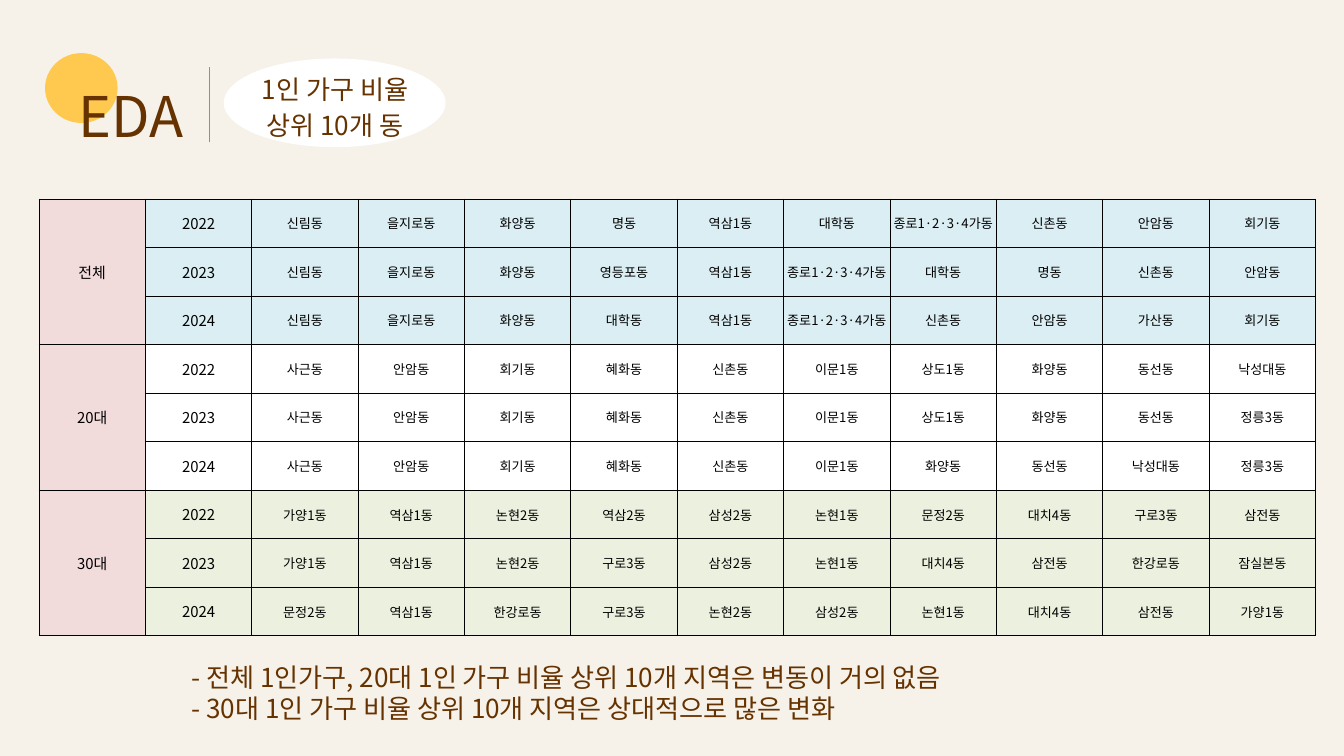
from lxml.etree import SubElement
from pptx import Presentation
from pptx.dml.color import RGBColor
from pptx.enum.shapes import MSO_CONNECTOR, MSO_SHAPE
from pptx.enum.text import MSO_ANCHOR, MSO_AUTO_SIZE, PP_ALIGN
from pptx.oxml.ns import qn
from pptx.util import Inches, Pt

FONT = "Noto Sans CJK KR"
BROWN = "663300"
BLACK = "000000"
YEARS = ["2022", "2023", "2024"]

# Group label, row fill, and the ten top districts for each year
GROUPS = [
    ("전체", "DBEEF4", [
        "신림동 을지로동 화양동 명동 역삼1동 대학동 종로1·2·3·4가동 신촌동 안암동 회기동",
        "신림동 을지로동 화양동 영등포동 역삼1동 종로1·2·3·4가동 대학동 명동 신촌동 안암동",
        "신림동 을지로동 화양동 대학동 역삼1동 종로1·2·3·4가동 신촌동 안암동 가산동 회기동",
    ]),
    ("20대", "FFFFFF", [
        "사근동 안암동 회기동 혜화동 신촌동 이문1동 상도1동 화양동 동선동 낙성대동",
        "사근동 안암동 회기동 혜화동 신촌동 이문1동 상도1동 화양동 동선동 정릉3동",
        "사근동 안암동 회기동 혜화동 신촌동 이문1동 화양동 동선동 낙성대동 정릉3동",
    ]),
    ("30대", "EBF1DE", [
        "가양1동 역삼1동 논현2동 역삼2동 삼성2동 논현1동 문정2동 대치4동 구로3동 삼전동",
        "가양1동 역삼1동 논현2동 구로3동 삼성2동 논현1동 대치4동 삼전동 한강로동 잠실본동",
        "문정2동 역삼1동 한강로동 구로3동 논현2동 삼성2동 논현1동 대치4동 삼전동 가양1동",
    ]),
]


def rgb(hex_color):
    return RGBColor.from_string(hex_color)


def format_text(frame, size, color, align=PP_ALIGN.LEFT, spacing=None):
    for paragraph in frame.paragraphs:
        paragraph.alignment = align
        if spacing:
            paragraph.line_spacing = Pt(spacing)
        for run in paragraph.runs:
            run.font.size = Pt(size)
            run.font.name = FONT
            run.font.color.rgb = rgb(color)
            SubElement(run.font._element, qn("a:ea"), typeface=FONT)


def set_margins(holder, side, top):
    holder.margin_left = holder.margin_right = Inches(side)
    holder.margin_top = holder.margin_bottom = Inches(top)


def add_oval(slide, left, top, width, height, color):
    oval = slide.shapes.add_shape(MSO_SHAPE.OVAL, Inches(left), Inches(top),
                                  Inches(width), Inches(height))
    oval.shadow.inherit = False
    oval.fill.solid()
    oval.fill.fore_color.rgb = rgb(color)
    oval.line.fill.background()


def place_title(slide, text):
    title = slide.shapes.title
    title.left, title.top = Inches(1.17), Inches(0.99)
    title.width, title.height = Inches(7.88), Inches(1.13)
    frame = title.text_frame
    frame.text = text
    frame.vertical_anchor = MSO_ANCHOR.TOP
    frame.auto_size = MSO_AUTO_SIZE.SHAPE_TO_FIT_TEXT
    set_margins(frame, 0, 0)
    format_text(frame, 60, BROWN, spacing=87.8)
    # Bring the title in front of the sun drawn before it
    title._element.getparent().append(title._element)


def add_divider(slide, x, top, bottom):
    divider = slide.shapes.add_connector(MSO_CONNECTOR.STRAIGHT, Inches(x), Inches(bottom),
                                         Inches(x), Inches(top))
    divider.line.color.rgb = rgb("AB8A66")
    divider.line.width = Pt(1.5)
    SubElement(divider._element.spPr, qn("a:effectLst"))


def add_text(slide, left, top, width, height, text):
    box = slide.shapes.add_textbox(Inches(left), Inches(top), Inches(width), Inches(height))
    frame = box.text_frame
    frame.word_wrap = True
    frame.auto_size = MSO_AUTO_SIZE.SHAPE_TO_FIT_TEXT
    frame.text = text
    return frame


def set_borders(cell):
    properties = cell._tc.get_or_add_tcPr()
    for side in ("a:lnL", "a:lnR", "a:lnT", "a:lnB"):
        border = SubElement(properties, qn(side), w=str(Pt(1)))
        fill = SubElement(border, qn("a:solidFill"))
        SubElement(fill, qn("a:srgbClr"), val=BLACK)


def fill_cell(cell, text, size, color):
    cell.text = text
    cell.vertical_anchor = MSO_ANCHOR.MIDDLE
    set_margins(cell, 0.02, 0)
    format_text(cell.text_frame, size, BLACK, PP_ALIGN.CENTER)
    set_borders(cell)
    cell.fill.solid()
    cell.fill.fore_color.rgb = rgb(color)


def add_district_table(slide):
    span = len(YEARS)
    table = slide.shapes.add_table(len(GROUPS) * span, 12, Inches(0.58), Inches(2.96),
                                   Inches(19), Inches(6.5)).table
    table.first_row = table.horz_banding = False
    for group_index, (label, color, rankings) in enumerate(GROUPS):
        first = group_index * span
        for row, (year, districts) in enumerate(zip(YEARS, rankings), first):
            fill_cell(table.cell(row, 0), label if row == first else "", 16, "F2DCDB")
            fill_cell(table.cell(row, 1), year, 16, color)
            for column, district in enumerate(districts.split(), 2):
                fill_cell(table.cell(row, column), district, 14, color)
        table.cell(first, 0).merge(table.cell(first + span - 1, 0))


def main():
    presentation = Presentation()
    presentation.slide_width = Inches(20)
    presentation.slide_height = Inches(11.25)
    slide = presentation.slides.add_slide(presentation.slide_layouts[5])
    slide.background.fill.solid()
    slide.background.fill.fore_color.rgb = rgb("F6F2EA")

    add_oval(slide, 0.67, 0.79, 1.08, 1.04, "FFC950")
    place_title(slide, "EDA")
    add_divider(slide, 3.12, 1, 2.12)

    add_oval(slide, 3.33, 0.87, 3.3, 1.32, "FFFFFF")
    subtitle = add_text(slide, 3.47, 1.01, 3.03, 1.05, "1인 가구 비율\n상위 10개 동")
    set_margins(subtitle, 0, 0)
    format_text(subtitle, 28, BROWN, PP_ALIGN.CENTER, 39.3)

    add_district_table(slide)

    findings = add_text(slide, 2.75, 9.79, 14.67, 1.04,
                        "- 전체 1인가구, 20대 1인 가구 비율 상위 10개 지역은 변동이 거의 없음\n"
                        "- 30대 1인 가구 비율 상위 10개 지역은 상대적으로 많은 변화")
    format_text(findings, 28, BROWN)
    presentation.save("out.pptx")


if __name__ == "__main__":
    main()
